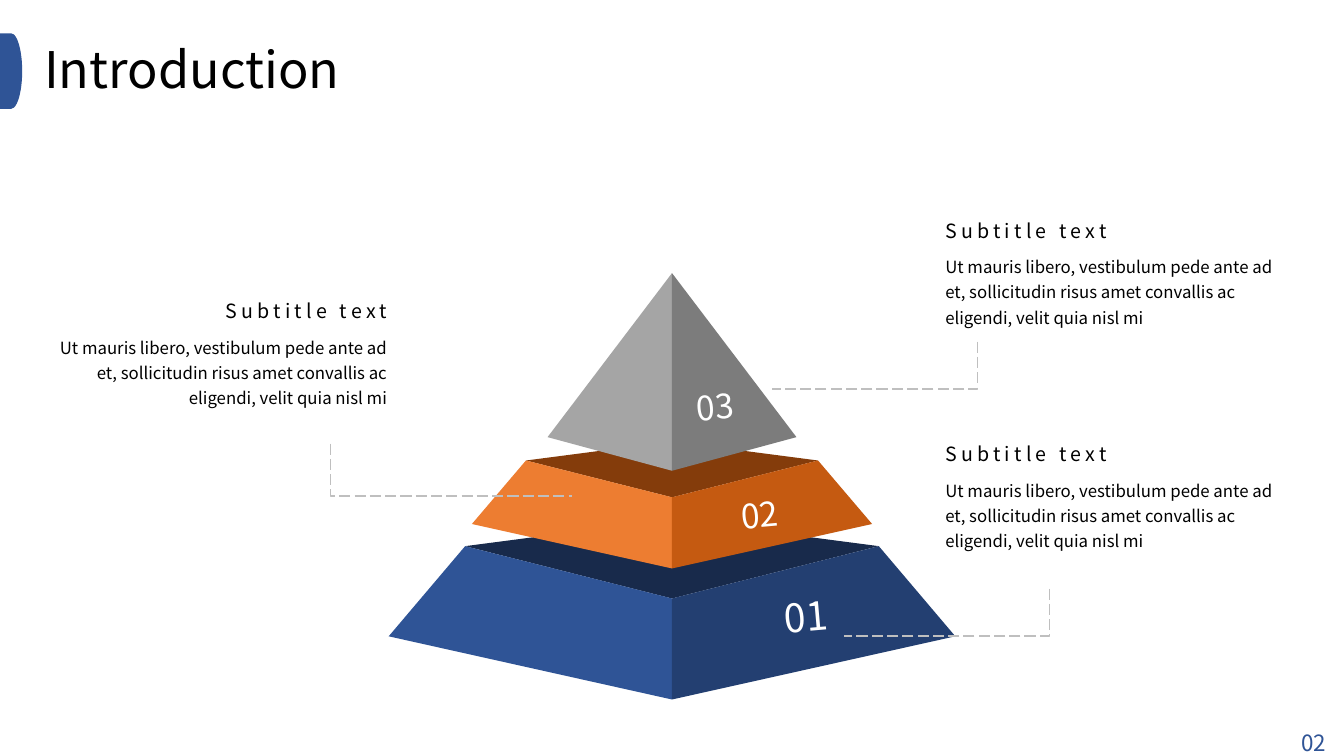
import pptx
import pptx.dml.color
import pptx.enum.dml
import pptx.enum.shapes
import pptx.enum.text
import pptx.util

FONT = "Noto Sans CJK SC"
BLUE, BLACK, WHITE, LEADER_GREY = "2F5496", "000000", "FFFFFF", "BFBFBF"
LEFT, CENTER, RIGHT, JUSTIFY = (
    pptx.enum.text.PP_ALIGN.LEFT, pptx.enum.text.PP_ALIGN.CENTER,
    pptx.enum.text.PP_ALIGN.RIGHT, pptx.enum.text.PP_ALIGN.JUSTIFY)
TOP, MIDDLE, BOTTOM = (
    pptx.enum.text.MSO_ANCHOR.TOP, pptx.enum.text.MSO_ANCHOR.MIDDLE,
    pptx.enum.text.MSO_ANCHOR.BOTTOM)
BODY = ("Ut mauris libero, vestibulum pede ante ad et, sollicitudin risus "
        "amet convallis ac eligendi, velit quia nisl mi")

# Grid of 100 columns by 100 rows; a box is (left, top, width, height).
SLIDE_W, SLIDE_H = pptx.util.Inches(13.33), pptx.util.Inches(7.5)


def col(n):
    return round(SLIDE_W * n / 100)


def row(n):
    return round(SLIDE_H * n / 100)


def emu(box):
    left, top, width, height = box
    return col(left), row(top), col(width), row(height)


def color(hex_code):
    return pptx.dml.color.RGBColor.from_string(hex_code)


def add_text(s, box, text, size, fill=BLACK, align=LEFT, anchor=TOP):
    sp = s.shapes.add_textbox(*emu(box))
    tf = sp.text_frame
    tf.word_wrap = True
    tf.vertical_anchor = anchor
    p = tf.paragraphs[0]
    p.text = text
    p.alignment = align
    font = p.runs[0].font
    font.name, font.size = FONT, pptx.util.Pt(size)
    font.color.rgb = color(fill)
    return sp


def add_outline(shapes, box, points, close=True):
    """Draw a freeform through points given as shares of the box."""
    left, top, width, height = box
    spots = [(col(left + x * width), row(top + y * height)) for x, y in points]
    builder = shapes.build_freeform(*spots[0])
    builder.add_line_segments(spots[1:], close=close)
    sp = builder.convert_to_shape()
    sp.shadow.inherit = False
    return sp


def add_face(shapes, box, points, fill):
    sp = add_outline(shapes, box, points)
    sp.fill.solid()
    sp.fill.fore_color.rgb = color(fill)
    sp.line.fill.background()


def add_tier(s, box, light, dark, lid=None):
    """Draw a tier: a truncated one if it has a lid colour, else the peak."""
    shapes = s.shapes.add_group_shape().shapes
    if lid:
        inset, shoulder, front, foot = 0.135, 0.15, 0.44, 0.65
        add_face(shapes, box, [(inset, shoulder), (0.5, front),
                               (1 - inset, shoulder), (0.5, 0)], lid)
        left_face = [(0, foot), (0.5, 1), (0.5, front), (inset, shoulder)]
    else:
        left_face = [(0, 0.83), (0.5, 1), (0.5, 0)]
    add_face(shapes, box, left_face, light)
    add_face(shapes, box, [(1 - x, y) for x, y in left_face], dark)


def add_tier_number(s, left, top, text, size):
    sp = add_text(s, (left, top, 4.28, 5.07), text, size, WHITE, CENTER, MIDDLE)
    tf = sp.text_frame
    tf.margin_left = tf.margin_right = tf.margin_top = tf.margin_bottom = 0
    sp.rotation = -5


def add_leader(s, box, points):
    sp = add_outline(s.shapes, box, points, close=False)
    sp.fill.background()
    sp.line.color.rgb = color(LEADER_GREY)
    sp.line.width = pptx.util.Pt(1)
    sp.line.dash_style = pptx.enum.dml.MSO_LINE.LONG_DASH


def add_caption(s, box, align):
    left, top, width, height = box
    title_w, title_h = 23.25, 4.53
    title_left = left + width - title_w if align == RIGHT else left
    sp = add_text(s, (title_left, top, title_w, title_h), "Subtitle text", 14,
                  align=align, anchor=BOTTOM)
    sp.text_frame.paragraphs[0].runs[0]._r.get_or_add_rPr().set("spc", "300")
    sp = add_text(s, (left, top + title_h, width, height - title_h), BODY, 12,
                  align=align)
    sp.text_frame.paragraphs[0].line_spacing = pptx.util.Pt(18)


def add_header(s, box):
    left, top, width, height = box
    tab_w = 1.65
    sp = s.shapes.add_shape(pptx.enum.shapes.MSO_SHAPE.FLOWCHART_DELAY,
                            *emu((left, top, tab_w, height)))
    sp.shadow.inherit = False
    sp.fill.solid()
    sp.fill.fore_color.rgb = color(BLUE)
    sp.line.fill.background()
    add_text(s, (left + 2.55, top, width - 2.55, height - 0.5),
             "Introduction", 36, align=JUSTIFY)


def main():
    prs = pptx.Presentation()
    prs.slide_width, prs.slide_height = SLIDE_W, SLIDE_H
    s = prs.slides.add_slide(prs.slide_layouts[6])

    add_tier(s, (28.92, 68.67, 42.16, 23.86), BLUE, "233F71", "182A4B")
    add_tier(s, (35.11, 58.4, 29.78, 16.8), "ED7D31", "C55A11", "843C0B")
    add_tier(s, (40.74, 36.13, 18.52, 26.14), "A5A5A5", "7C7C7C")

    right_then_down = [(1, 0), (1, 1), (0, 1)]
    add_leader(s, (24.6, 58.67, 17.93, 6.93), [(0, 0), (0, 1), (1, 1)])
    add_leader(s, (62.78, 77.87, 15.3, 6.27), right_then_down)
    add_leader(s, (57.45, 45.2, 15.3, 6.27), right_then_down)

    add_tier_number(s, 51.08, 51.2, "03", 24)
    add_tier_number(s, 54.38, 65.47, "02", 24)
    add_tier_number(s, 57.83, 78.93, "01", 28)

    for left, top, align in ((69.6, 28.13, LEFT), (69.6, 57.73, LEFT),
                             (2.55, 38.8, RIGHT)):
        add_caption(s, (left, top, 27, 16), align)

    add_header(s, (0, 4.4, 28.13, 10))
    add_text(s, (90.77, 95.73, 8.63, 4.93), "02", 16, BLUE, RIGHT)
    prs.save("out.pptx")


if __name__ == "__main__":
    main()
